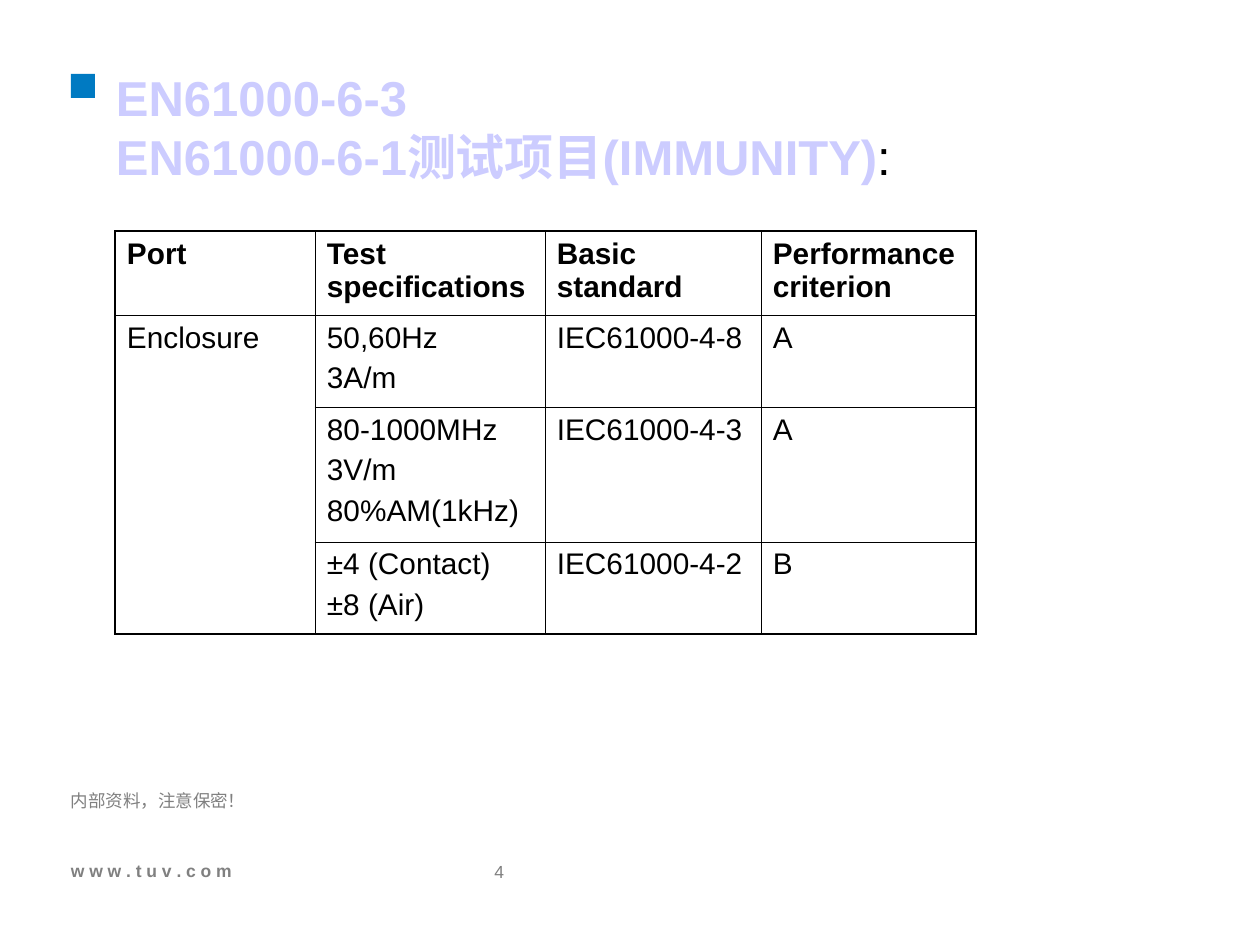
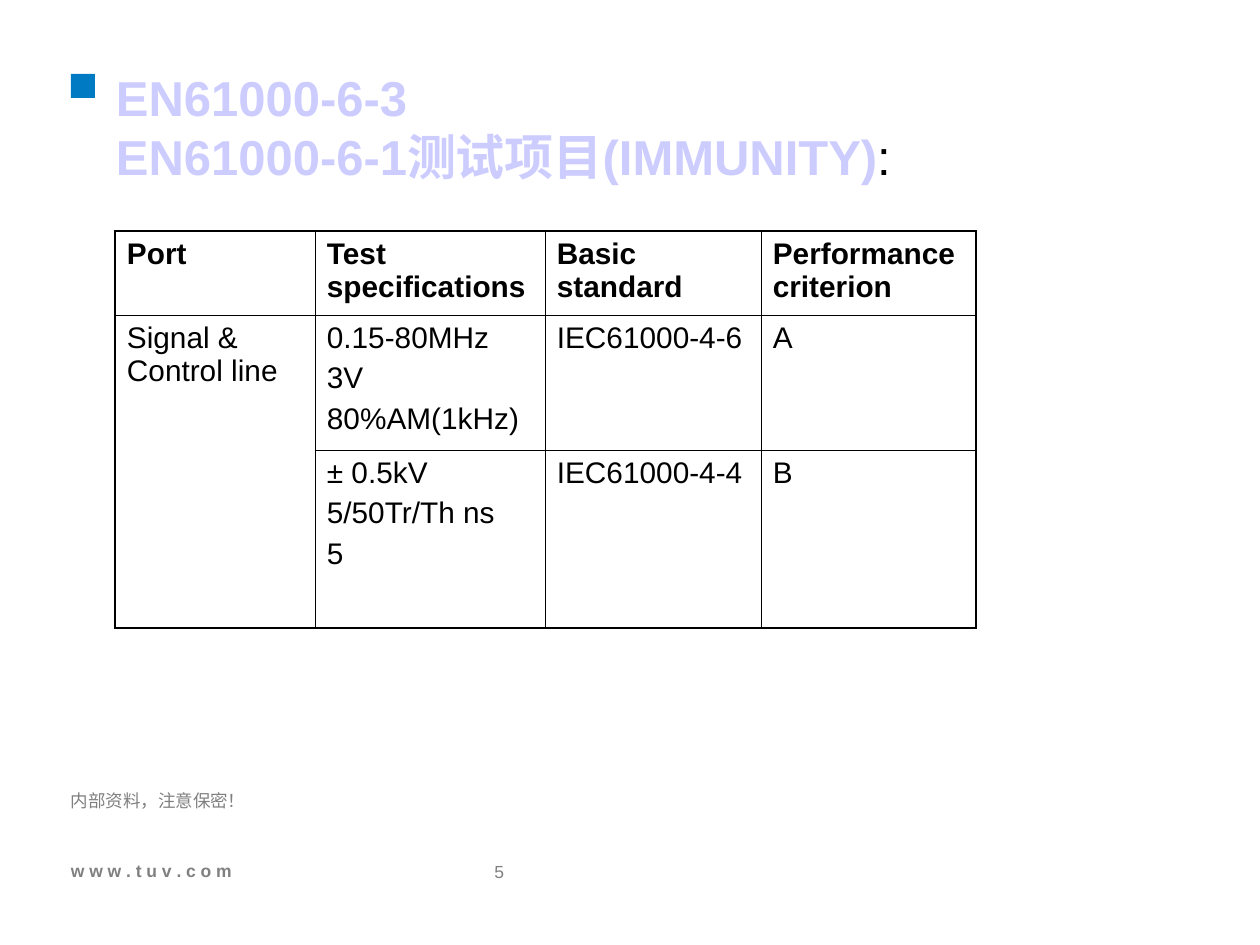
from lxml import etree
from pptx import Presentation
from pptx.dml.color import RGBColor
from pptx.enum.shapes import MSO_SHAPE
from pptx.enum.text import MSO_ANCHOR, MSO_AUTO_SIZE, PP_ALIGN
from pptx.oxml.ns import qn
from pptx.util import Emu, Inches, Pt

PIXELS_PER_INCH = 126
FONT = "Arial"
BLUE, LILAC, GREY, BLACK = "007AC2", "CCCCFF", "808080", "000000"
THIN, THICK = 0.45, 1.08

FIRST_PAGE_NUMBER = 4
TITLE = "EN61000-6-3\vEN61000-6-1测试项目(IMMUNITY)"
HEADINGS = ["Port", "Test specifications", "Basic standard", "Performance criterion"]
COLUMN_WIDTHS = [200, 230, 216, 215]
HEADING_HEIGHT = 84

# Each page: the port, then (row height, specifications, standard, criterion)
PAGES = [
    ("Enclosure", [
        (92, "50,60Hz\n3A/m", "IEC61000-4-8", "A"),
        (135, "80-1000MHz\n3V/m\n80%AM(1kHz)", "IEC61000-4-3", "A"),
        (92, "±4 (Contact)\n±8 (Air)", "IEC61000-4-2", "B"),
    ]),
    ("Signal & Control line", [
        (135, "0.15-80MHz\n3V\n80%AM(1kHz)", "IEC61000-4-6", "A"),
        (178, "± 0.5kV\n5/50Tr/Th ns\n5", "IEC61000-4-4", "B"),
    ]),
]


def px(length):
    return Emu(round(length * Inches(1) / PIXELS_PER_INCH))


def color(value):
    return RGBColor.from_string(value)


def style_font(font, size, ink, bold=False):
    font.name = FONT
    font.size = Pt(size)
    font.bold = bold
    font.color.rgb = color(ink)


def set_margins(frame, top=0):
    frame.margin_left = frame.margin_right = frame.margin_bottom = 0
    frame.margin_top = px(top)
    frame.word_wrap = True
    frame.auto_size = MSO_AUTO_SIZE.NONE


def add_label(page, text, left, top, width, height, bold=False,
              align=PP_ALIGN.LEFT, anchor=MSO_ANCHOR.TOP, inset=0):
    box = page.shapes.add_textbox(px(left), px(top), px(width), px(height))
    frame = box.text_frame
    set_margins(frame, inset)
    frame.vertical_anchor = anchor
    para = frame.paragraphs[0]
    para.text = text
    para.alignment = align
    style_font(para.font, 10, GREY, bold)


def add_title(page):
    title = page.shapes.title
    title.left, title.top, title.width, title.height = map(px, (116, 66, 861, 72))
    frame = title.text_frame
    set_margins(frame, 2)
    frame.vertical_anchor = MSO_ANCHOR.TOP
    para = frame.paragraphs[0]
    para.text = TITLE
    para.alignment = PP_ALIGN.LEFT
    para.line_spacing = Pt(33.6)
    for span in para.runs:
        style_font(span.font, 28, LILAC, True)
    colon = para.add_run()
    colon.text = ":"
    style_font(colon.font, 28, BLACK)


def add_marker(page):
    marker = page.shapes.add_shape(MSO_SHAPE.RECTANGLE, px(71), px(74), px(24), px(24))
    marker.shadow.inherit = False
    marker.fill.solid()
    marker.fill.fore_color.rgb = color(BLUE)
    marker.line.fill.background()


def add_frame(page, number):
    """Marker, footer and page number found on every page."""
    add_marker(page)
    add_label(page, "w w w . t u v . c o m", 71, 799, 213, 82, bold=True,
              anchor=MSO_ANCHOR.BOTTOM, inset=15)
    add_label(page, "内部资料，注意保密！", 71, 790, 399, 63)
    add_label(page, str(number), 402, 861, 102, 63, align=PP_ALIGN.RIGHT)


def fill_cell(cell, text, bold):
    cell.fill.background()
    cell.margin_left = cell.margin_right = px(12)
    cell.margin_top = cell.margin_bottom = px(6)
    cell.text = text
    for index, para in enumerate(cell.text_frame.paragraphs):
        para.space_before = Pt(4.2 if index else 0)
        style_font(para.font, 17, BLACK, bold)


def set_borders(cell, outer_sides):
    properties = cell._tc.get_or_add_tcPr()
    for position, side in enumerate("LRTB"):
        weight = THICK if side in outer_sides else THIN
        line = etree.Element(qn("a:ln" + side), w=str(Pt(weight)))
        fill = etree.SubElement(line, qn("a:solidFill"))
        etree.SubElement(fill, qn("a:srgbClr"), val=BLACK)
        properties.insert(position, line)


def outer_sides(row, column, last_row, last_column):
    """Sides of a cell on the table's outline; the port cell reaches the bottom."""
    is_port = column == 0 and row > 0
    edges = {
        "L": column == 0,
        "R": column == last_column,
        "T": row == 0,
        "B": row == last_row or is_port,
    }
    return [side for side, is_outer in edges.items() if is_outer]


def add_test_table(page, port, tests):
    heights = [HEADING_HEIGHT] + [test[0] for test in tests]
    rows = [HEADINGS] + [[port, *test[1:]] for test in tests]
    last_row, last_column = len(rows) - 1, len(HEADINGS) - 1
    holder = page.shapes.add_table(len(rows), len(HEADINGS), px(115), px(231),
                                   px(sum(COLUMN_WIDTHS)), px(sum(heights)))
    table = holder.table
    table.first_row = table.horz_banding = False
    for column, width in zip(table.columns, COLUMN_WIDTHS):
        column.width = px(width)
    for row, height in zip(table.rows, heights):
        row.height = px(height)

    # One port cell spans all the test rows
    table.cell(1, 0).merge(table.cell(last_row, 0))
    for r, texts in enumerate(rows):
        for c, text in enumerate(texts):
            cell = table.cell(r, c)
            if cell.is_spanned:
                continue
            fill_cell(cell, text, bold=r == 0)
            set_borders(cell, outer_sides(r, c, last_row, last_column))


def main():
    deck = Presentation()
    deck.slide_width, deck.slide_height = px(1260), px(945)
    title_only = deck.slide_layouts[5]
    for number, (port, tests) in enumerate(PAGES, FIRST_PAGE_NUMBER):
        page = deck.slides.add_slide(title_only)
        add_title(page)
        add_test_table(page, port, tests)
        add_frame(page, number)
    deck.save("out.pptx")


if __name__ == "__main__":
    main()
